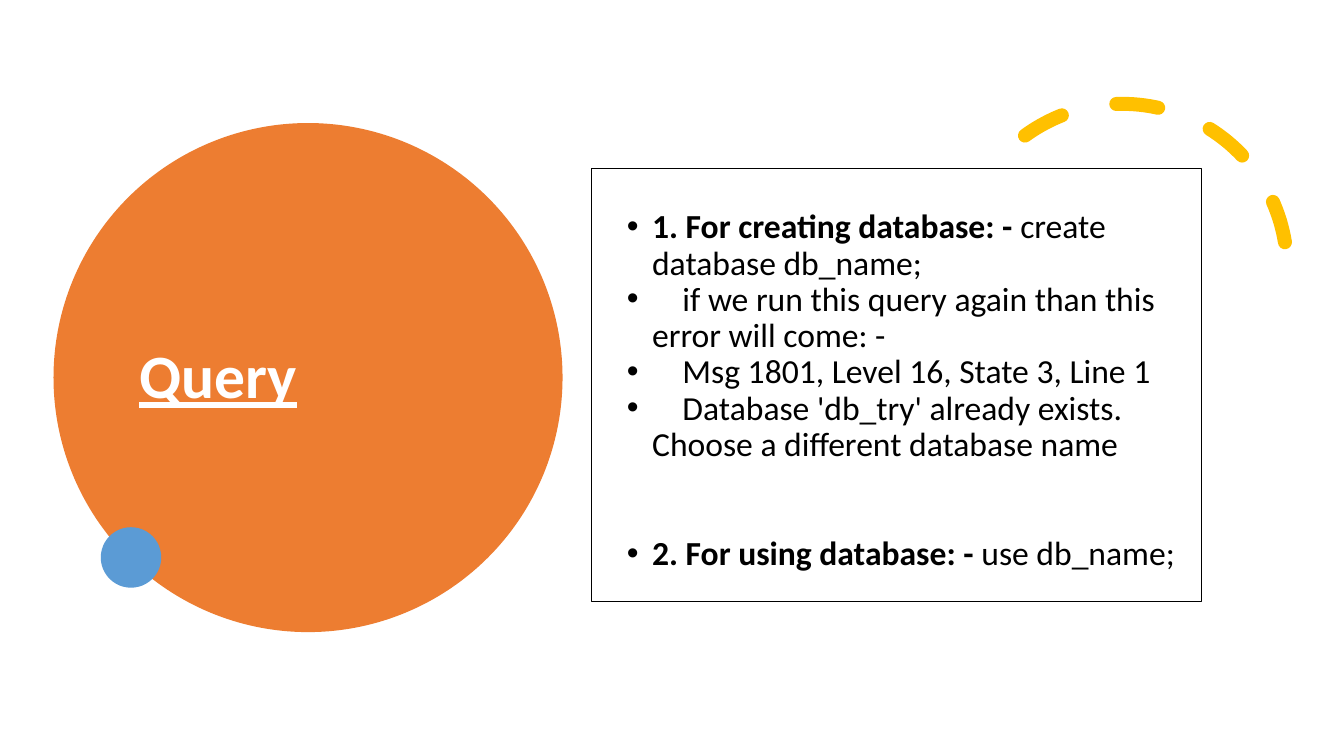
"""Build the slide on SQL queries that create and use a database."""
import dataclasses

import pptx
import pptx.dml.color
import pptx.enum.dml
import pptx.enum.shapes
import pptx.enum.text
import pptx.shapes.autoshape
import pptx.shapes.base
import pptx.slide
import pptx.text.text
import pptx.util
from lxml import etree
from pptx.oxml.ns import qn

Pt = pptx.util.Pt
RGBColor = pptx.dml.color.RGBColor
MSO_SHAPE = pptx.enum.shapes.MSO_SHAPE

ORANGE = RGBColor(0xED, 0x7D, 0x31)
BLUE = RGBColor(0x5B, 0x9B, 0xD5)
GOLD = RGBColor(0xFF, 0xC0, 0x00)
WHITE = RGBColor(0xFF, 0xFF, 0xFF)
BLACK = RGBColor(0x00, 0x00, 0x00)
FONT = "Calibri"
TEXT_INDENT = 36
BULLET_HANG = 18
DETAIL_TAB = 21.7
LINE_HEIGHT = 26


@dataclasses.dataclass(frozen=True)
class Disc:
    left: float
    top: float
    diameter: float
    color: RGBColor


@dataclasses.dataclass(frozen=True)
class Step:
    heading: str
    text: str
    space_before: float = 0


BIG_DISC = Disc(38.2, 87.9, 363.6, ORANGE)
SMALL_DISC = Disc(72, 376.6, 43.2, BLUE)
STEPS = (
    Step("1. For creating database: - ", "create database db_name;"),
    Step("", "\tif we run this query again than this error will come: -"),
    Step("", "\tMsg 1801, Level 16, State 3, Line 1"),
    Step("", "\tDatabase 'db_try' already exists. Choose a different database name"),
    Step("2. For using database: - ", "use db_name;", 2 * LINE_HEIGHT),
)


def place(shape: pptx.shapes.base.BaseShape, left: float, top: float,
          width: float, height: float) -> None:
    """Move and size a shape, in points."""
    shape.left, shape.top = Pt(left), Pt(top)
    shape.width, shape.height = Pt(width), Pt(height)


def add_disc(slide: pptx.slide.Slide, disc: Disc) -> pptx.shapes.autoshape.Shape:
    """Draw a filled circle without an outline."""
    circle = slide.shapes.add_shape(MSO_SHAPE.OVAL, Pt(disc.left), Pt(disc.top),
                                    Pt(disc.diameter), Pt(disc.diameter))
    circle.shadow.inherit = False
    circle.fill.solid()
    circle.fill.fore_color.rgb = disc.color
    circle.line.fill.background()
    return circle


def add_dashed_arc(slide: pptx.slide.Slide) -> pptx.shapes.autoshape.Shape:
    """Draw the round-capped dashed arc at the upper right."""
    arc = slide.shapes.add_shape(MSO_SHAPE.ARC, Pt(684), Pt(74.2), Pt(235.4), Pt(235.4))
    arc.shadow.inherit = False
    arc.rotation = 330.2
    arc.adjustments[0], arc.adjustments[1] = 158.17, 17.81
    arc.fill.background()
    arc.line.color.rgb = GOLD
    arc.line.width = Pt(10)
    arc.line.dash_style = pptx.enum.dml.MSO_LINE.DASH
    arc.element.spPr.find(qn("a:ln")).set("cap", "rnd")
    return arc


def format_paragraph(paragraph: pptx.text.text._Paragraph, size: float,
                     color: RGBColor) -> None:
    """Set the font, alignment and line spacing of a paragraph."""
    paragraph.alignment = pptx.enum.text.PP_ALIGN.LEFT
    paragraph.line_spacing = 0.9
    paragraph.space_before = Pt(0)
    paragraph.font.name = FONT
    paragraph.font.size = Pt(size)
    paragraph.font.color.rgb = color


def add_bullet(paragraph: pptx.text.text._Paragraph) -> None:
    """Give a paragraph a hanging bullet and a tab stop."""
    properties = paragraph._p.get_or_add_pPr()
    properties.set("marL", str(Pt(TEXT_INDENT)))
    properties.set("indent", str(Pt(-BULLET_HANG)))
    bullet_font = etree.Element(qn("a:buFont"), typeface="Arial")
    bullet = etree.Element(qn("a:buChar"), char="•")
    tabs = etree.Element(qn("a:tabLst"))
    etree.SubElement(tabs, qn("a:tab"), pos=str(Pt(TEXT_INDENT + DETAIL_TAB)), algn="l")
    run_defaults = properties.find(qn("a:defRPr"))
    for part in (bullet_font, bullet, tabs):
        run_defaults.addprevious(part)


def fill_title(title: pptx.shapes.autoshape.Shape) -> None:
    """Write the heading over the big disc."""
    place(title, 92.2, 110.2, 254.9, 320.4)
    title.text_frame.vertical_anchor = pptx.enum.text.MSO_ANCHOR.MIDDLE
    title.text_frame.auto_size = pptx.enum.text.MSO_AUTO_SIZE.NONE
    heading = title.text_frame.paragraphs[0]
    heading.text = "Query"
    format_paragraph(heading, 44, WHITE)
    heading.font.bold = True
    heading.font.underline = True


def fill_steps(steps: pptx.shapes.autoshape.Shape) -> None:
    """Write the bulleted steps in the framed box."""
    place(steps, 422.6, 120.2, 435.6, 309.6)
    steps.fill.solid()
    steps.fill.fore_color.rgb = WHITE
    steps.line.color.rgb = BLACK
    steps.line.width = Pt(1)
    frame = steps.text_frame
    frame.auto_size = pptx.enum.text.MSO_AUTO_SIZE.NONE
    frame.vertical_anchor = pptx.enum.text.MSO_ANCHOR.TOP
    frame.margin_top = Pt(3.6 + LINE_HEIGHT)
    for index, step in enumerate(STEPS):
        paragraph = frame.add_paragraph() if index else frame.paragraphs[0]
        format_paragraph(paragraph, 24, BLACK)
        paragraph.space_before = Pt(step.space_before)
        add_bullet(paragraph)
        if step.heading:
            heading = paragraph.add_run()
            heading.text = step.heading
            heading.font.bold = True
        paragraph.add_run().text = step.text


def main() -> None:
    """Build and save the presentation."""
    deck = pptx.Presentation()
    deck.slide_width, deck.slide_height = Pt(960), Pt(540)
    slide = deck.slides.add_slide(deck.slide_layouts[0])
    title, steps = slide.placeholders
    fill_title(title)
    fill_steps(steps)
    title.element.addprevious(add_disc(slide, BIG_DISC).element)
    steps.element.addprevious(add_dashed_arc(slide).element)
    steps.element.addprevious(add_disc(slide, SMALL_DISC).element)
    deck.save("out.pptx")


if __name__ == "__main__":
    main()
